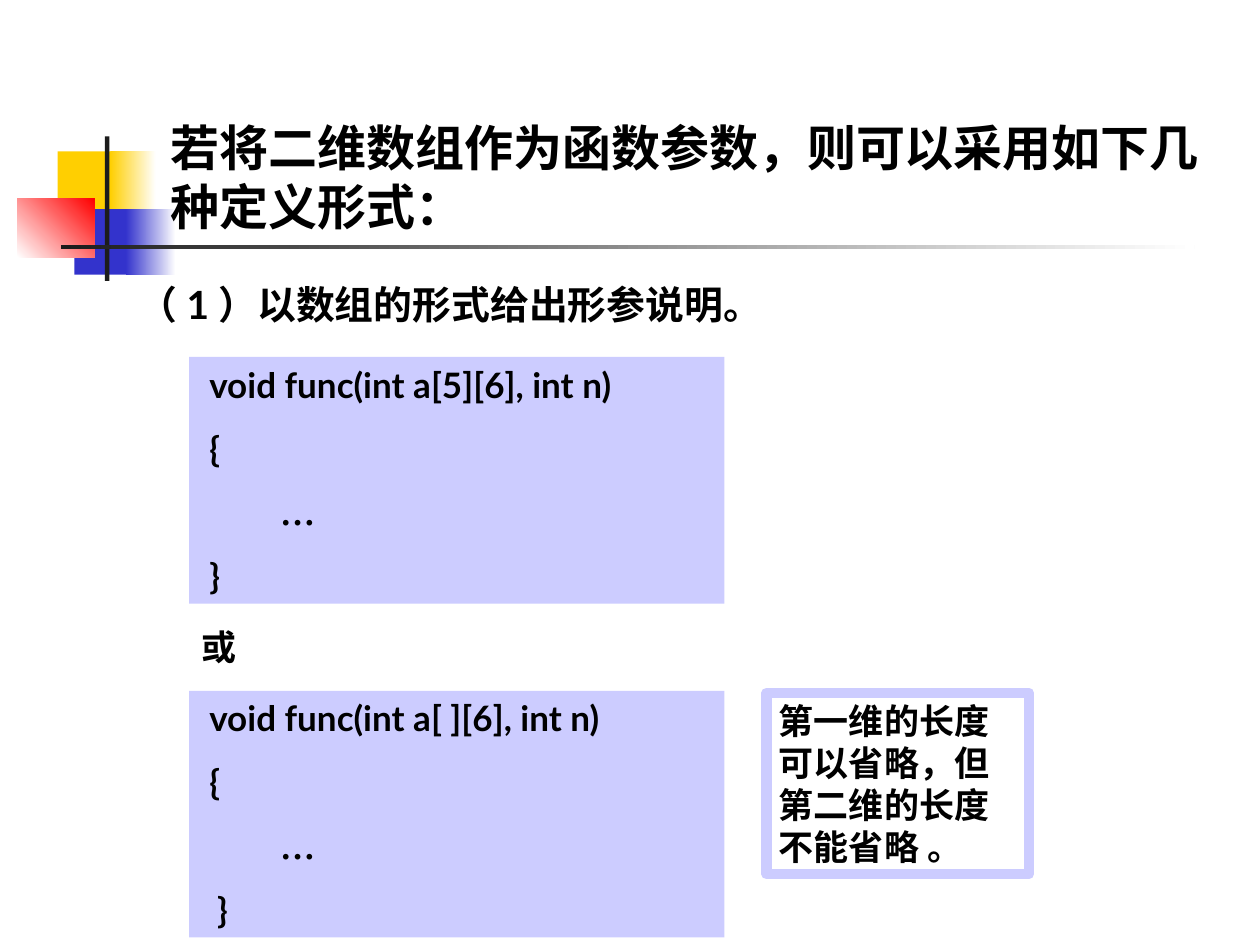
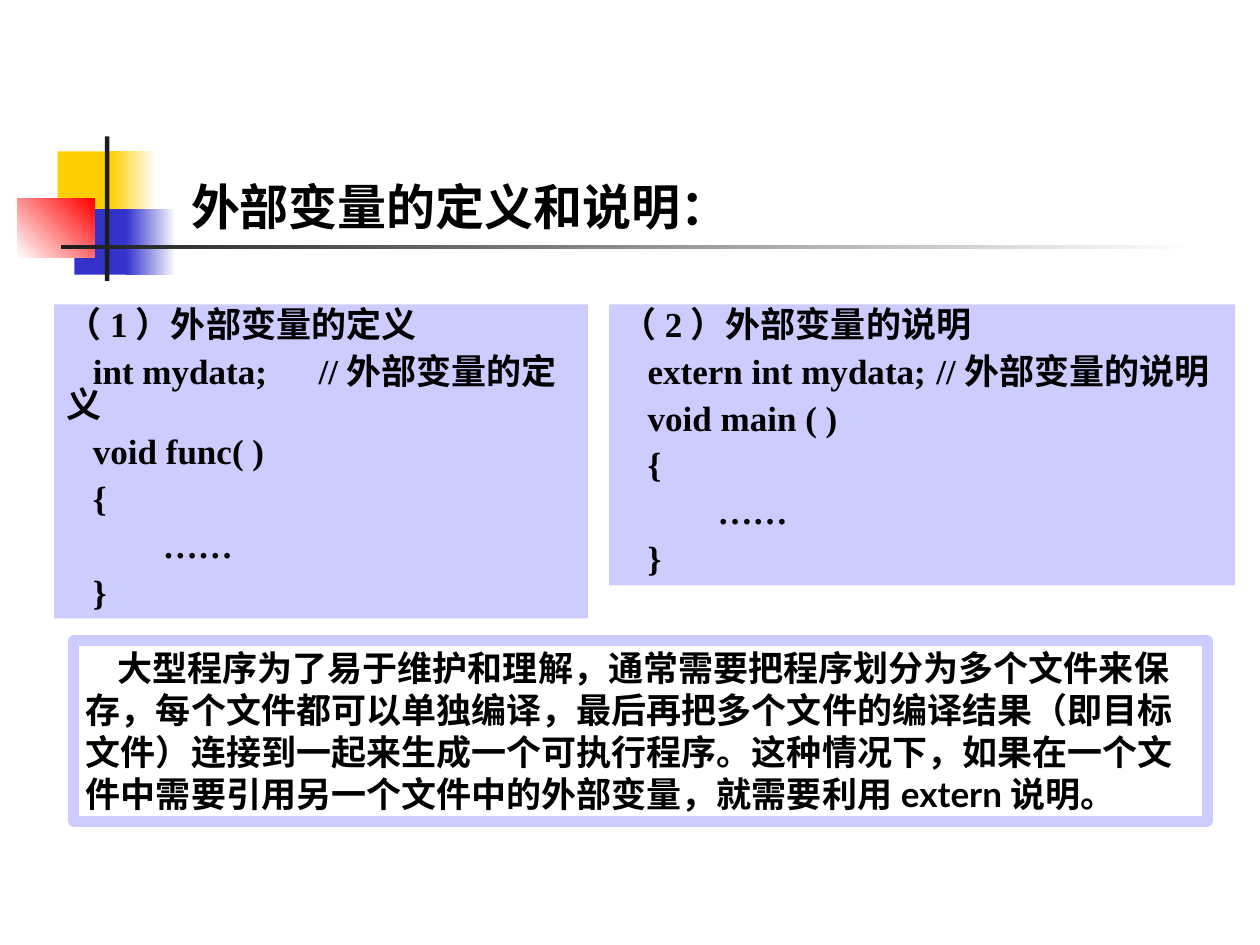
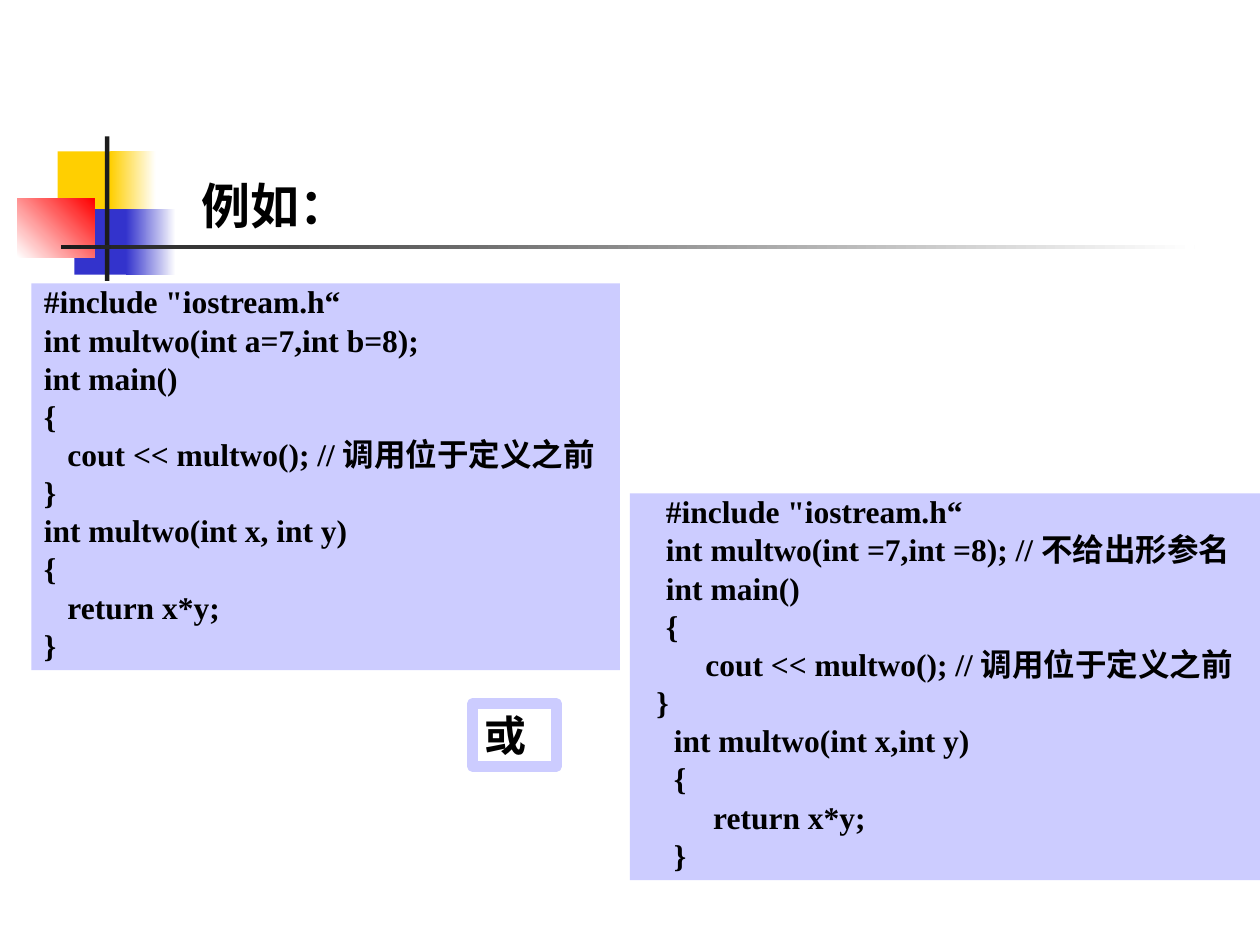
"""Build three slides on array parameters, external variables and default arguments in C++."""
from dataclasses import dataclass
from itertools import groupby
from typing import NamedTuple, Optional

from lxml import etree
from pptx import Presentation
from pptx.dml.color import RGBColor
from pptx.enum.shapes import MSO_SHAPE
from pptx.enum.text import MSO_ANCHOR, MSO_AUTO_SIZE, PP_ALIGN
from pptx.oxml.ns import qn
from pptx.util import Pt

RECTANGLE = MSO_SHAPE.RECTANGLE
TOP, BOTTOM = MSO_ANCHOR.TOP, MSO_ANCHOR.BOTTOM
NO_AUTOFIT = MSO_AUTO_SIZE.NONE
LEFT, JUSTIFY = PP_ALIGN.LEFT, PP_ALIGN.JUSTIFY
TITLE_ONLY = 5
FIRST_CJK = 0x2E80


@dataclass(frozen=True)
class Theme:
    ink: str = "000000"
    white: str = "FFFFFF"
    lavender: str = "CCCCFF"
    yellow: str = "FFCF01"
    blue: str = "3333CC"
    red: str = "FF0000"
    rule: str = "1C1C1C"
    sans: str = "Lato"
    serif: str = "Times New Roman"
    chinese: str = "Noto Sans CJK SC"
    title_size: float = 28
    choice_size: float = 24
    heading_size: float = 22.2
    text_size: float = 20
    listing_size: float = 18
    frame_width: float = 6


THEME = Theme()


class Box(NamedTuple):
    left: float
    top: float
    width: float
    height: float


class Line(NamedTuple):
    text: str
    indent: float = 0
    tab: Optional[float] = None


@dataclass(frozen=True)
class TextStyle:
    size: float
    font: str = THEME.sans
    before: float = 0
    spacing: float = 1
    align: PP_ALIGN = LEFT


@dataclass(frozen=True)
class Panel:
    box: Box
    style: TextStyle
    lines: list[Line]
    fill: Optional[str] = None
    frame: Optional[str] = None


class Ornament(NamedTuple):
    box: Box
    start: str
    end: Optional[str] = None
    angle: float = 0


@dataclass(frozen=True)
class Page:
    title: str
    title_box: Box
    panels: list[Panel]


TITLE = TextStyle(THEME.title_size, THEME.chinese)
HEADING = TextStyle(THEME.heading_size, before=6, spacing=0.8)
NOTE = TextStyle(THEME.text_size, before=12.5)
CHOICE = TextStyle(THEME.choice_size, before=15)
FUNCTION = TextStyle(THEME.text_size, before=12.5, align=JUSTIFY)
EXTERNAL = TextStyle(THEME.text_size, THEME.serif, 7.5, 0.8)
LISTING = TextStyle(THEME.listing_size, THEME.serif, 4.5, 0.8, JUSTIFY)

ORNAMENTS = [
    Ornament(Box(33, 86.5, 34.5, 37.5), THEME.yellow),
    Ornament(Box(63, 86.5, 26, 37.5), THEME.yellow, THEME.white),
    Ornament(Box(42.5, 119.5, 33, 37.5), THEME.blue),
    Ornament(Box(72, 119.5, 28.5, 37.5), THEME.blue, THEME.white),
    Ornament(Box(10, 113.5, 44, 33.5), THEME.white, THEME.red, 45),
    Ornament(Box(60, 78, 2.5, 82.5), THEME.rule),
    Ornament(Box(34.75, 140, 648, 2.5), THEME.rule, THEME.white),
]


def function_panel(top: float, signature: str, closing_indent: float) -> Panel:
    lines = [Line(signature, 4.5), Line("{", 4.5), Line("…", 45), Line("}", closing_indent)]
    return Panel(Box(108, top, 306, 141), FUNCTION, lines, fill=THEME.lavender)


def external_panel(box: Box, heading: str, declaration: str, comment_at: float, function: str) -> Panel:
    lines = [Line(heading), Line(declaration, 15, comment_at), Line(function, 15),
             Line("{", 15), Line("……", 55), Line("}", 15)]
    return Panel(box, EXTERNAL, lines, fill=THEME.lavender)


def listing_panel(box: Box, prototype: str, definition: str, indents: list[float]) -> Panel:
    texts = ['#include "iostream.h“', prototype, "int main()", "{",
             "cout << multwo(); //调用位于定义之前", "}", definition, "{", "return x*y;", "}"]
    lines = [Line(text, indent) for text, indent in zip(texts, indents)]
    return Panel(box, LISTING, lines, fill=THEME.lavender)


def framed_note(box: Box, style: TextStyle, text: str, indent: float = 0) -> Panel:
    return Panel(box, style, [Line(text, indent)], frame=THEME.lavender)


PAGES = [
    Page("若将二维数组作为函数参数，则可以采用如下几种定义形式：", Box(90.5, 48, 613.5, 90), [
        Panel(Box(72, 162, 393, 33), HEADING, [Line("（1）以数组的形式给出形参说明。")]),
        function_panel(204, "void func(int a[5][6], int n)", 4.5),
        function_panel(394.75, "void func(int a[ ][6], int n)", 9),
        Panel(Box(108, 354, 42, 31.5), NOTE, [Line("或")]),
        framed_note(Box(438, 396, 150, 103.5), NOTE, "第一维的长度可以省略，但第二维的长度不能省略 。"),
    ]),
    Page("外部变量的定义和说明：", Box(102, 96, 354, 42), [
        external_panel(Box(348, 174, 357.75, 160.5), "（2）外部变量的说明",
                       "extern int mydata;\t//外部变量的说明", 184, "void main ( )"),
        external_panel(Box(31, 174, 305, 179.5), "（1）外部变量的定义",
                       "int mydata;\t//外部变量的定义", 135, "void func( )"),
        framed_note(Box(42, 366, 648, 103.5), NOTE,
                    "大型程序为了易于维护和理解，通常需要把程序划分为多个文件来保存，"
                    "每个文件都可以单独编译，最后再把多个文件的编译结果（即目标文件）"
                    "连接到一起来生成一个可执行程序。这种情况下，如果在一个文件中需要引用"
                    "另一个文件中的外部变量，就需要利用extern说明。", 18),
    ]),
    Page("例如：", Box(108, 90, 107.5, 47.5), [
        listing_panel(Box(18, 162, 336.25, 221), "int multwo(int a=7,int b=8);",
                      "int multwo(int x, int y)", [0, 0, 0, 0, 13.5, 0, 0, 0, 13.5, 0]),
        listing_panel(Box(360, 282, 360, 221), "int multwo(int =7,int =8); //不给出形参名",
                      "int multwo(int x,int y)", [13.5, 13.5, 13.5, 13.5, 36, 8, 18, 18, 40.5, 18]),
        framed_note(Box(270, 402, 48, 36), CHOICE, "或"),
    ]),
]


def in_points(box: Box) -> list[Pt]:
    return [Pt(length) for length in box]


def write_line(paragraph, line: Line, style: TextStyle) -> None:
    paragraph.alignment = style.align
    paragraph.line_spacing = style.spacing
    paragraph.space_before = Pt(style.before)
    properties = paragraph._p.get_or_add_pPr()
    properties.set("marL", "0")
    properties.set("indent", str(Pt(line.indent)))
    if line.tab is not None:
        stops = etree.SubElement(properties, qn("a:tabLst"))
        etree.SubElement(stops, qn("a:tab"), pos=str(Pt(line.tab)), algn="l")

    def font_for(letter: str) -> str:
        if ord(letter) >= FIRST_CJK:
            return THEME.chinese
        return THEME.serif if letter == "…" else style.font

    for font_name, letters in groupby(line.text, key=font_for):
        run = paragraph.add_run()
        run.text = "".join(letters)
        run.font.size = Pt(style.size)
        run.font.bold = True
        run.font.color.rgb = RGBColor.from_string(THEME.ink)
        run.font.name = font_name
        etree.SubElement(run._r.get_or_add_rPr(), qn("a:ea"), typeface=font_name)


def write_text(frame, lines: list[Line], style: TextStyle, anchor: MSO_ANCHOR) -> None:
    frame.word_wrap = True
    frame.auto_size = NO_AUTOFIT
    frame.vertical_anchor = anchor
    for index, line in enumerate(lines):
        paragraph = frame.add_paragraph() if index else frame.paragraphs[0]
        write_line(paragraph, line, style)


def draw_panel(slide, panel: Panel) -> None:
    if panel.fill or panel.frame:
        area = slide.shapes.add_shape(RECTANGLE, *in_points(panel.box))
        area.shadow.inherit = False
    else:
        area = slide.shapes.add_textbox(*in_points(panel.box))
    if panel.fill:
        area.fill.solid()
        area.fill.fore_color.rgb = RGBColor.from_string(panel.fill)
    else:
        area.fill.background()
    if panel.frame:
        area.line.color.rgb = RGBColor.from_string(panel.frame)
        area.line.width = Pt(THEME.frame_width)
    else:
        area.line.fill.background()
    write_text(area.text_frame, panel.lines, panel.style, TOP)


def draw_ornament(slide, ornament: Ornament) -> None:
    block = slide.shapes.add_shape(RECTANGLE, *in_points(ornament.box))
    block.shadow.inherit = False
    block.line.fill.background()
    if ornament.end is None:
        block.fill.solid()
        block.fill.fore_color.rgb = RGBColor.from_string(ornament.start)
    else:
        block.fill.gradient()
        block.fill.gradient_angle = ornament.angle
        for stop, color in zip(block.fill.gradient_stops, (ornament.start, ornament.end)):
            stop.color.rgb = RGBColor.from_string(color)
    slide.slide_layout.shapes.element.append(block.element)


def draw_page(slide, page: Page) -> None:
    title = slide.shapes.title
    title.left, title.top, title.width, title.height = in_points(page.title_box)
    write_text(title.text_frame, [Line(page.title)], TITLE, BOTTOM)
    for panel in page.panels:
        draw_panel(slide, panel)


def main() -> None:
    deck = Presentation()
    deck.slide_width, deck.slide_height = Pt(720), Pt(540)
    layout = deck.slide_layouts[TITLE_ONLY]
    slides = [deck.slides.add_slide(layout) for _ in PAGES]
    for ornament in ORNAMENTS:
        draw_ornament(slides[0], ornament)
    for slide, page in zip(slides, PAGES):
        draw_page(slide, page)
    deck.save("out.pptx")


if __name__ == "__main__":
    main()
